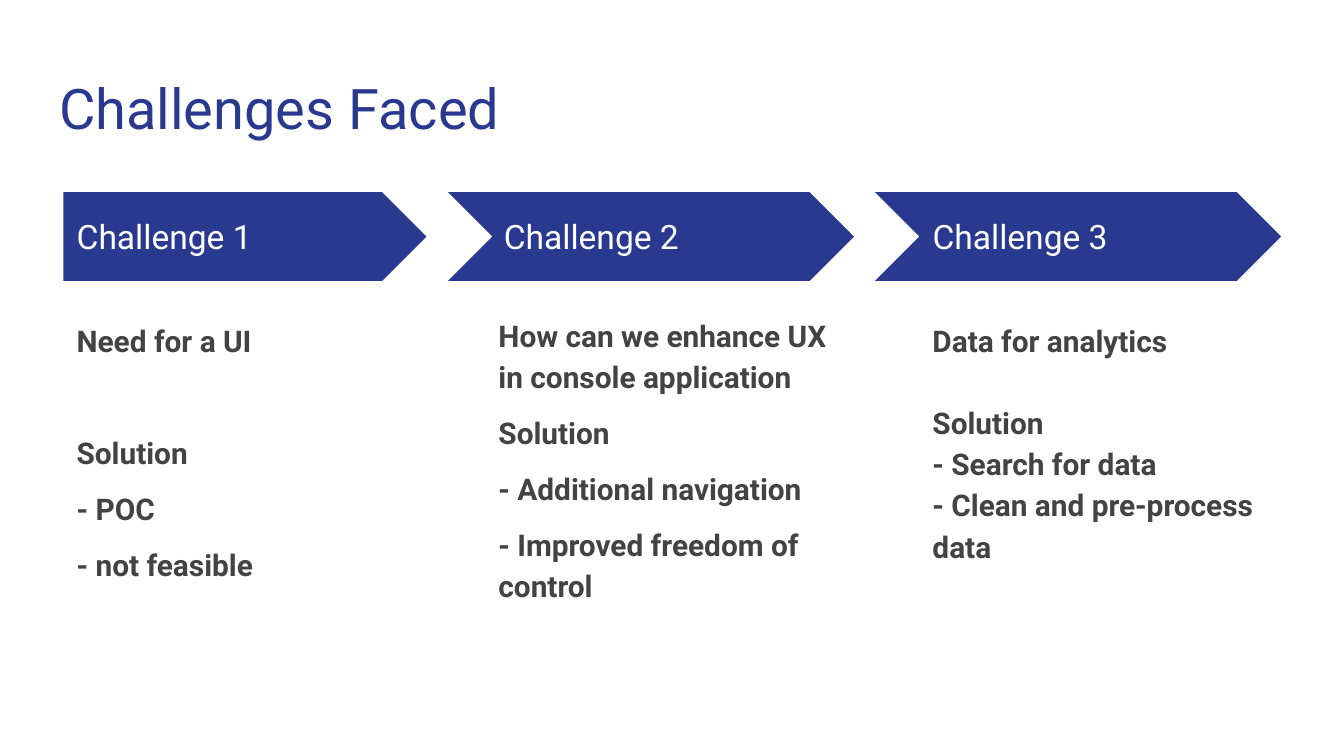
from dataclasses import dataclass
from pptx import Presentation
from pptx.dml.color import RGBColor as RGB
from pptx.enum.shapes import MSO_SHAPE as SHAPE
from pptx.enum.text import MSO_ANCHOR as ANCHOR, PP_ALIGN as ALIGN
from pptx.util import Pt


@dataclass(frozen=True)
class Theme:
    font: str = "Roboto"
    navy: RGB = RGB(0x2A, 0x39, 0x90)
    grey: RGB = RGB(0x43, 0x43, 0x43)
    white: RGB = RGB(0xFF, 0xFF, 0xFF)
    title: int = 30
    label: int = 18
    body: int = 16


class Deck:
    def __init__(self, prs, theme):
        self.theme = theme
        self.s = prs.slides.add_slide(prs.slide_layouts[5])
        self.s.background.fill.solid()
        self.s.background.fill.fore_color.rgb = theme.white

    def frame(self, sp, anchor):
        tf = sp.text_frame
        tf.word_wrap = True
        tf.vertical_anchor = anchor
        tf.margin_left = tf.margin_right = Pt(7.2)
        tf.margin_top = tf.margin_bottom = Pt(7.2)
        return tf

    def style(self, p, size, color, bold=False):
        p.alignment = ALIGN.LEFT
        p.font.name, p.font.size, p.font.bold = self.theme.font, Pt(size), bold
        p.font.color.rgb = color

    def title(self, text, x, y, w, h):
        sp = self.s.shapes.title
        sp.left, sp.top, sp.width, sp.height = Pt(x), Pt(y), Pt(w), Pt(h)
        tf = self.frame(sp, ANCHOR.TOP)
        tf.text = text
        self.style(tf.paragraphs[0], self.theme.title, self.theme.navy)

    def arrow(self, kind, x, y, w, h):
        sp = self.s.shapes.add_shape(kind, Pt(x), Pt(y), Pt(w), Pt(h))
        sp.shadow.inherit = False
        sp.fill.solid()
        sp.fill.fore_color.rgb = self.theme.navy
        sp.line.fill.background()

    def label(self, text, x, y, w, h):
        sp = self.s.shapes.add_textbox(Pt(x), Pt(y), Pt(w), Pt(h))
        tf = self.frame(sp, ANCHOR.MIDDLE)
        tf.text = text
        self.style(tf.paragraphs[0], self.theme.label, self.theme.white)

    def body(self, lines, x, y, w, h, gap, first_gap):
        sp = self.s.shapes.add_textbox(Pt(x), Pt(y), Pt(w), Pt(h))
        tf = self.frame(sp, ANCHOR.TOP)
        tf.text = "\n".join(lines)
        for i, p in enumerate(tf.paragraphs):
            self.style(p, self.theme.body, self.theme.grey, bold=True)
            p.line_spacing = 1.15
            p.space_after = Pt(gap if i else first_gap)


prs = Presentation()
prs.slide_width, prs.slide_height = Pt(720), Pt(405)
deck = Deck(prs, Theme())

# Title
deck.title("Challenges Faced", 24.5, 32.4, 671, 47.5)

# Columns: arrow shape, arrow x and width, label x, body x and y, gaps, lines
columns = [
    (SHAPE.PENTAGON, 34, 194.5, 34, 34, 162.7, 8, 38,
     ["Need for a UI", "Solution", "- POC", "- not feasible"]),
    (SHAPE.CHEVRON, 240, 217.5, 262.8, 260, 160, 8, 8,
     ["How can we enhance UX in console application", "Solution",
      "- Additional navigation", "- Improved freedom of control"]),
    (SHAPE.CHEVRON, 468.8, 217.5, 492.5, 492.5, 162.7, 0, 22,
     ["Data for analytics", "Solution", "- Search for data",
      "- Clean and pre-process data"]),
]
for n, (kind, x, w, label_x, body_x, body_y, gap, first_gap, lines) in enumerate(columns, 1):
    deck.arrow(kind, x, 103, w, 47.5)
    deck.label(f"Challenge {n}", label_x, 114.5, 178, 24.5)
    deck.body(lines, body_x, body_y, 194.5, 209, gap, first_gap)

prs.save("out.pptx")
